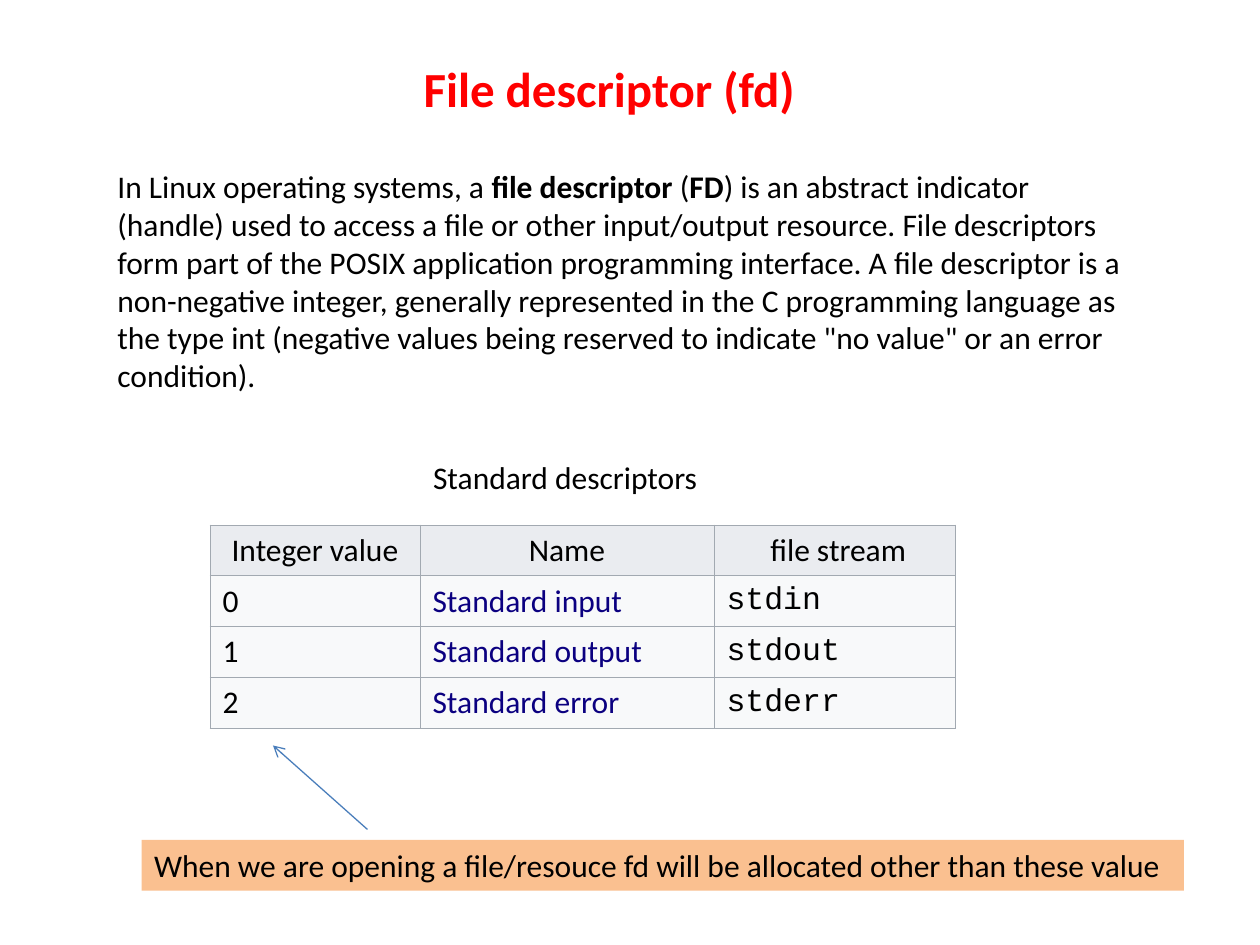
from lxml import etree
from pptx import Presentation
from pptx import util as u
from pptx.dml.color import RGBColor
from pptx.enum import shapes, text
from pptx.oxml import ns

Pt = u.Pt
BLACK = RGBColor(0x00, 0x00, 0x00)
RED = RGBColor(0xFF, 0x00, 0x00)
NAVY = RGBColor(0x0B, 0x00, 0x80)
BLUE = RGBColor(0x4A, 0x7E, 0xBB)
ORANGE = RGBColor(0xFA, 0xC0, 0x90)
HEADER_GRAY = RGBColor(0xEA, 0xEC, 0xF0)
ROW_GRAY = RGBColor(0xF8, 0xF9, 0xFA)
BORDER_GRAY = RGBColor(0xA2, 0xA9, 0xB1)


class Deck:
    body_font = "Calibri"
    code_font = "Courier New"
    body_size = 18

    def __init__(self, width, height):
        self.prs = Presentation()
        self.prs.slide_width, self.prs.slide_height = Pt(width), Pt(height)
        self.slide = self.prs.slides.add_slide(self.prs.slide_layouts[6])

    def style(self, run, size=None, color=BLACK, bold=False, font=None):
        run.font.name = font or self.body_font
        run.font.size = Pt(size or self.body_size)
        run.font.bold = bold
        run.font.color.rgb = color

    def text(self, left, top, width, height, parts, wrap=False, fill=None,
             size=None, color=BLACK):
        """Add a box; parts is a list of (wording, bold) pairs."""
        box = self.slide.shapes.add_textbox(Pt(left), Pt(top), Pt(width), Pt(height))
        if fill is not None:
            box.fill.solid()
            box.fill.fore_color.rgb = fill
        frame = box.text_frame
        frame.word_wrap = wrap
        frame.auto_size = text.MSO_AUTO_SIZE.SHAPE_TO_FIT_TEXT
        for wording, bold in parts:
            run = frame.paragraphs[0].add_run()
            run.text = wording
            self.style(run, size, color, bold)

    def border(self, cell, color, width):
        props = cell._tc.get_or_add_tcPr()
        for index, side in enumerate(("lnL", "lnR", "lnT", "lnB")):
            line = etree.Element(ns.qn("a:" + side), w=str(Pt(width)))
            solid = etree.SubElement(line, ns.qn("a:solidFill"))
            etree.SubElement(solid, ns.qn("a:srgbClr"), val=str(color))
            props.insert(index, line)

    def table(self, left, top, widths, row_height, rows):
        """Add a table with a header row, a link column and a code column."""
        frame = self.slide.shapes.add_table(
            len(rows), len(widths), Pt(left), Pt(top),
            Pt(sum(widths)), Pt(row_height * len(rows)))
        grid = frame.table
        grid.first_row = grid.horz_banding = False
        for column, width in zip(grid.columns, widths):
            column.width = Pt(width)
        column_styles = [{}, {"color": NAVY}, {"font": self.code_font}]
        for r, row in enumerate(rows):
            grid.rows[r].height = Pt(row_height)
            for c, wording in enumerate(row):
                cell = grid.cell(r, c)
                cell.vertical_anchor = text.MSO_ANCHOR.MIDDLE
                cell.fill.solid()
                cell.fill.fore_color.rgb = ROW_GRAY if r else HEADER_GRAY
                self.border(cell, BORDER_GRAY, 0.34)
                paragraph = cell.text_frame.paragraphs[0]
                paragraph.text = wording
                if r == 0:
                    paragraph.alignment = text.PP_ALIGN.CENTER
                self.style(paragraph.runs[0], **(column_styles[c] if r else {}))

    def arrow(self, start, end, color, width):
        arrow = self.slide.shapes.add_connector(
            shapes.MSO_CONNECTOR.STRAIGHT, *map(Pt, start + end))
        arrow.line.color.rgb = color
        arrow.line.width = Pt(width)
        etree.SubElement(arrow.line._get_or_add_ln(), ns.qn("a:tailEnd"), type="arrow")
        etree.SubElement(arrow._element.spPr, ns.qn("a:effectLst"))

    def save(self):
        self.prs.save("out.pptx")


def main():
    deck = Deck(720, 540)

    # Definition
    deck.text(60, 92, 600, 137, [
        ("In Linux operating systems, a ", False),
        ("file descriptor", True),
        (" (", False),
        ("FD", True),
        (") is an abstract indicator (handle) used to access a file or other "
         "input/output resource. File descriptors form part of the POSIX "
         "application programming interface. A file descriptor is a "
         "non-negative integer, generally represented in the C programming "
         "language as the type int (negative values being reserved to indicate "
         "\"no value\" or an error condition).", False),
    ], wrap=True)

    # Standard descriptors
    deck.table(120, 300, [120, 168, 138], 29, [
        ("Integer value", "Name", " file stream"),
        ("0", "Standard input", "stdin"),
        ("1", "Standard output", "stdout"),
        ("2", "Standard error", "stderr"),
    ])
    deck.text(240.4, 258, 166.4, 29, [("Standard descriptors", False)])

    # Note on allocated values
    deck.arrow((210, 474), (156, 426), BLUE, 0.75)
    deck.text(81, 480, 595.5, 29, [
        ("When we are opening a file/resouce fd will be allocated other than "
         "these value", False)], fill=ORANGE)

    # Title
    deck.text(235, 30, 233, 41, [("File descriptor (fd) ", True)], size=28, color=RED)

    deck.save()


if __name__ == "__main__":
    main()
